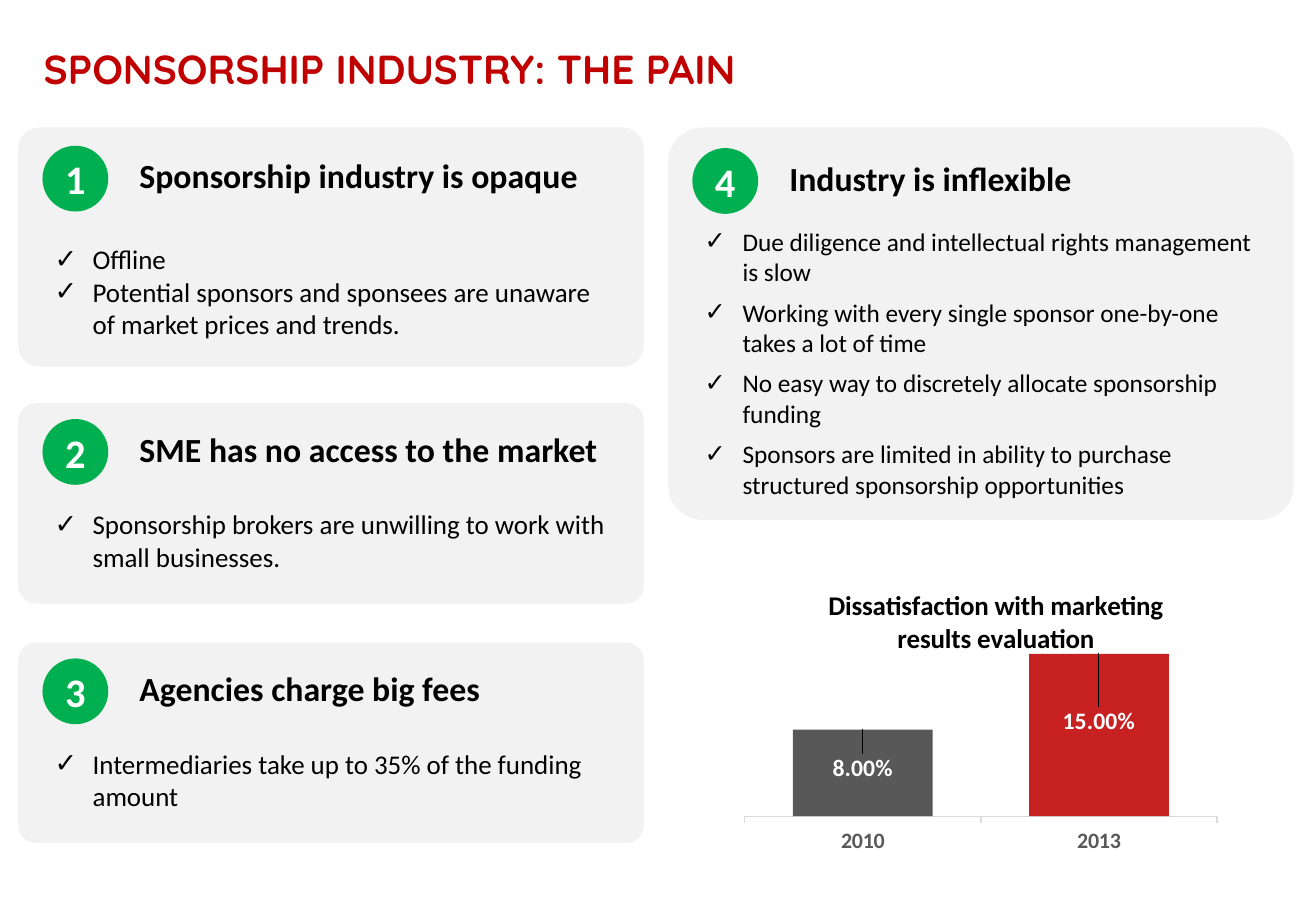
from dataclasses import dataclass

import lxml.etree
import pptx
import pptx.chart.data
import pptx.dml.color
import pptx.enum.chart
import pptx.enum.shapes
import pptx.enum.text
import pptx.oxml.ns
import pptx.util

Pt = pptx.util.Pt
RGB = pptx.dml.color.RGBColor
qn = pptx.oxml.ns.qn
Align = pptx.enum.text.PP_ALIGN
Anchor = pptx.enum.text.MSO_ANCHOR
Preset = pptx.enum.shapes.MSO_SHAPE

RED = RGB(0xC0, 0x00, 0x00)
GREEN = RGB(0x00, 0xB0, 0x50)
PALE = RGB(0xF2, 0xF2, 0xF2)
RULE = RGB(0xD9, 0xD9, 0xD9)
GREY = RGB(0x59, 0x59, 0x59)
DARK = RGB(0x40, 0x40, 0x40)
BLACK = RGB(0x00, 0x00, 0x00)
WHITE = RGB(0xFF, 0xFF, 0xFF)

WIDE, BADGE, INDENT = 370.8, 39, 22.5
LEFT, RIGHT = 10.8, 396


@dataclass
class Card:
    left: float
    top: float
    high: float
    badge: float  # badge and list tops are measured from the card top
    list: float
    deep: float
    head: str
    items: list[str]
    size: float = 16
    after: float = 0


CARDS = [
    Card(LEFT, 75.6, 141.8, 10.8, 64.8, 65.5, "Sponsorship industry is opaque", [
        "Offline",
        "Potential sponsors and sponsees are unaware of market prices and trends."]),
    Card(LEFT, 239, 118.8, 9.4, 58.4, 46, "SME has no access to the market", [
        "Sponsorship brokers are unwilling to work with small businesses."]),
    Card(LEFT, 380.9, 118.8, 9.4, 58.4, 46, "Agencies charge big fees", [
        "Intermediaries take up to 35% of the funding amount"]),
    Card(RIGHT, 75.6, 232.6, 12.2, 54.7, 170.6, "Industry is inflexible", [
        "Due diligence and intellectual rights management is slow",
        "Working with every single sponsor one-by-one takes a lot of time",
        "No easy way to discretely allocate sponsorship funding",
        "Sponsors are limited in ability to purchase structured sponsorship opportunities"],
        size=15, after=6),
]


def style(font, size: float, color: RGB, bold: bool = False, name: str = "Calibri") -> None:
    font.size, font.bold, font.name = Pt(size), bold, name
    font.color.rgb = color


def write(para, text: str, *, size: float, color: RGB = BLACK, bold: bool = False,
          name: str = "Calibri", align=Align.LEFT, after: float = 0,
          bullet: str = "") -> None:
    run = para.add_run()
    run.text = text
    style(run.font, size, color, bold, name)
    para.alignment, para.line_spacing = align, 1.0
    para.space_before, para.space_after = Pt(0), Pt(after)
    if bullet:
        props = para._p.get_or_add_pPr()
        props.set("marL", str(Pt(INDENT)))
        props.set("indent", str(-Pt(INDENT)))
        lxml.etree.SubElement(props, qn("a:buChar")).set("char", bullet)


def setup(frame, anchor=Anchor.TOP) -> None:
    frame.word_wrap = True
    frame.auto_size = pptx.enum.text.MSO_AUTO_SIZE.NONE
    frame.vertical_anchor = anchor


def move(shape, left: float, top: float, wide: float, high: float) -> None:
    """Set the box and bring the shape to the front."""
    shape.left, shape.top, shape.width, shape.height = map(Pt, (left, top, wide, high))
    shape.element.getparent().append(shape.element)


def block(slide, kind, fill: RGB, left: float, top: float, wide: float, high: float):
    """Add a plain filled shape with no line or shadow."""
    shape = slide.shapes.add_shape(kind, *map(Pt, (left, top, wide, high)))
    shape.shadow.inherit = False
    shape.fill.solid()
    shape.fill.fore_color.rgb = fill
    shape.line.fill.background()
    return shape


def draw(slide, card: Card, mark: int, body) -> None:
    panel = block(slide, Preset.ROUNDED_RECTANGLE, PALE, card.left, card.top, WIDE, card.high)
    panel.adjustments[0] = 0.088

    top = card.top + card.badge
    badge = block(slide, Preset.OVAL, GREEN, card.left + 14.4, top, BADGE, BADGE)
    frame = badge.text_frame
    setup(frame, Anchor.MIDDLE)
    frame.margin_left = frame.margin_right = frame.margin_top = frame.margin_bottom = 0
    write(frame.paragraphs[0], str(mark), size=24, color=WHITE, bold=True, align=Align.CENTER)

    head = slide.shapes.add_textbox(*map(Pt, (card.left + 64.8, top + 2, 297.4, 31.7)))
    setup(head.text_frame)
    write(head.text_frame.paragraphs[0], card.head, size=20, bold=True)

    move(body, card.left + 14.4, card.top + card.list, 347, card.deep)
    frame = body.text_frame
    setup(frame)
    for i, item in enumerate(card.items):
        para = frame.add_paragraph() if i else frame.paragraphs[0]
        write(para, item, size=card.size, after=card.after, bullet="✓")


def layout(parent, spot: int, **parts) -> None:
    """Give a chart part a manual layout, as its child number spot."""
    for old in parent.findall(qn("c:layout")):
        parent.remove(old)
    outer = lxml.etree.Element(qn("c:layout"))
    inner = lxml.etree.SubElement(outer, qn("c:manualLayout"))
    for key, val in parts.items():
        lxml.etree.SubElement(inner, qn(f"c:{key}")).set("val", str(val))
    parent.insert(spot, outer)


def paint(fill, color: RGB) -> None:
    fill.solid()
    fill.fore_color.rgb = color


def graph(slide) -> None:
    enum = pptx.enum.chart
    data = pptx.chart.data.CategoryChartData(number_format="0.00%")
    data.categories = ["2010", "2013"]
    data.add_series("Series 1", [0.08, 0.15])
    chart = slide.shapes.add_chart(enum.XL_CHART_TYPE.COLUMN_CLUSTERED,
                                   *map(Pt, (435.6, 320.4, 291.6, 190.1)), data).chart
    style(chart.font, 10, BLACK)
    chart.has_legend = False
    chart.has_title = True
    title = chart.chart_title
    write(title.text_frame.paragraphs[0], "Dissatisfaction with marketing results evaluation",
          size=16, bold=True, align=Align.CENTER)
    title.include_in_layout = False
    layout(title.element, 1, xMode="edge", yMode="edge", x=0.18, y=0.13)

    axis = chart.category_axis
    style(axis.tick_labels.font, 13, GREY, True)
    axis.major_tick_mark = enum.XL_TICK_MARK.OUTSIDE
    axis.format.line.color.rgb = RULE
    axis.format.line.width = Pt(0.75)
    scale = chart.value_axis
    scale.visible = scale.has_major_gridlines = False
    scale.minimum_scale, scale.maximum_scale = 0, 0.16

    plot = chart.plots[0]
    plot.gap_width, plot.overlap, plot.vary_by_categories = 69, 16, False
    bars = plot.series[0]
    paint(bars.format.fill, DARK)
    paint(bars.points[1].format.fill, RED)
    for color in chart.element.xpath(".//c:ser//c:spPr/a:solidFill/a:srgbClr"):
        lxml.etree.SubElement(color, qn("a:alpha")).set("val", "87000")

    for i, drop in enumerate((0.06, 0.15)):
        label = bars.points[i].data_label
        style(label.font, 14, WHITE, True)
        label.position = enum.XL_LABEL_POSITION.INSIDE_END
    for spot, drop in zip(chart.element.xpath(".//c:dLbl"), (0.06, 0.15)):
        layout(spot, 1, x=0, y=drop)
    area = chart.element.xpath(".//c:plotArea")[0]
    layout(area, 0, layoutTarget="inner", xMode="edge", yMode="edge",
           x=0.02, y=0.32, w=0.96, h=0.54)


def main() -> None:
    deck = pptx.Presentation()
    deck.slide_width, deck.slide_height = Pt(780), Pt(540)
    slide = deck.slides.add_slide(deck.slide_layouts.get_by_name("Comparison"))
    title, *bodies = list(slide.placeholders)
    move(title, 18.7, 22.3, 702, 53.3)
    setup(title.text_frame)
    write(title.text_frame.paragraphs[0], "SPONSORSHIP INDUSTRY: THE PAIN",
          size=24, color=RED, bold=True, name="Quicksand")
    for mark, (card, body) in enumerate(zip(CARDS, bodies), 1):
        draw(slide, card, mark, body)
    graph(slide)
    deck.save("out.pptx")


if __name__ == "__main__":
    main()
